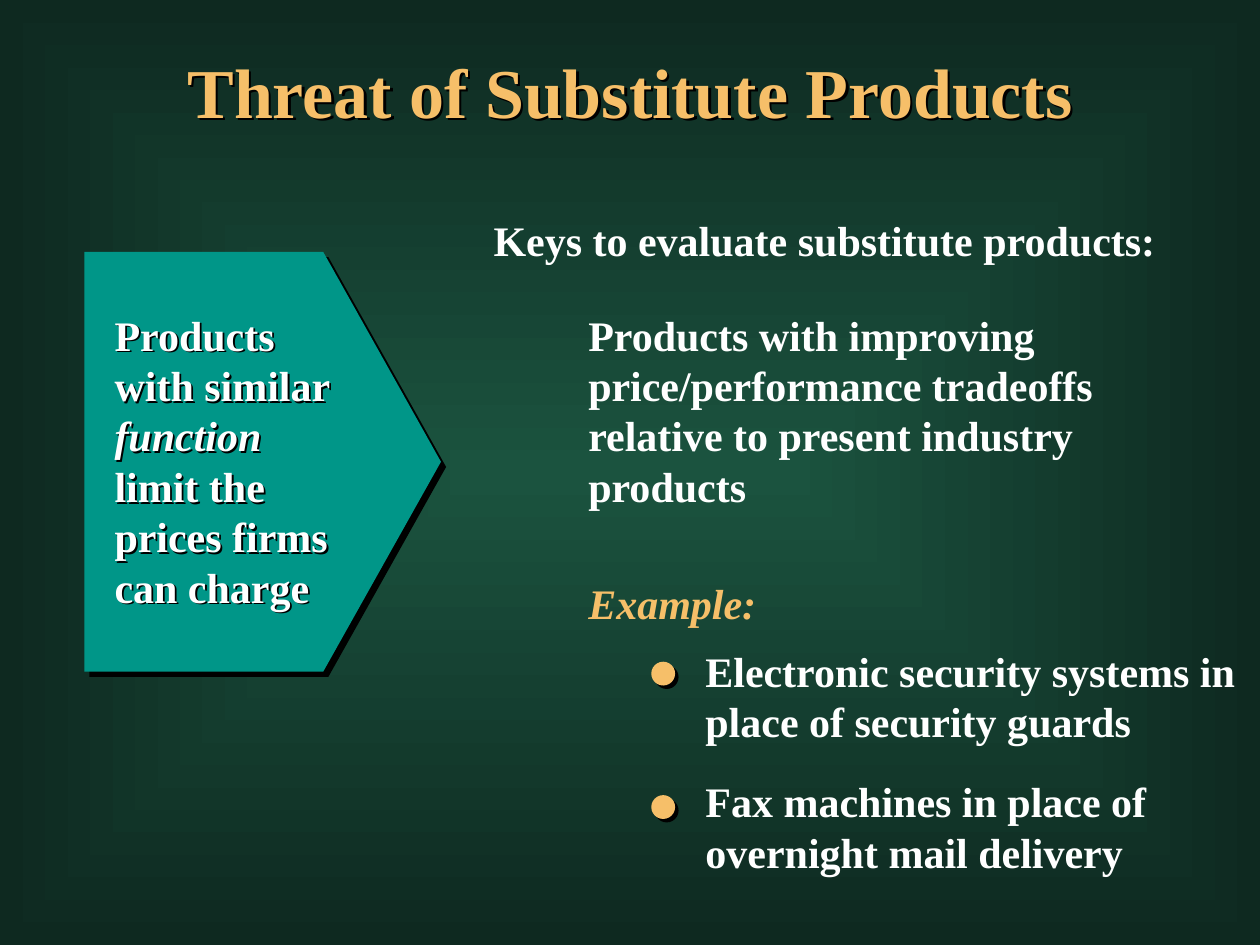
"""Build a slide on the threat of substitute products."""
from dataclasses import dataclass

from lxml import etree
from pptx import Presentation
from pptx.dml.color import RGBColor
from pptx.enum.shapes import MSO_SHAPE
from pptx.enum.text import MSO_ANCHOR, MSO_AUTO_SIZE, PP_ALIGN
from pptx.oxml import parse_xml
from pptx.oxml.ns import nsdecls, qn
from pptx.shapes.autoshape import Shape
from pptx.slide import Slide
from pptx.util import Cm, Pt

PENTAGON = MSO_SHAPE.PENTAGON
OVAL = MSO_SHAPE.OVAL
TOP = MSO_ANCHOR.TOP
NO_AUTO_SIZE = MSO_AUTO_SIZE.NONE
LEFT = PP_ALIGN.LEFT
CENTER = PP_ALIGN.CENTER


@dataclass(frozen=True)
class Theme:
    """Colours, font and type sizes of the slide."""
    center: RGBColor = RGBColor(0x1B, 0x53, 0x3F)
    edge: RGBColor = RGBColor(0x0E, 0x29, 0x20)
    gold: RGBColor = RGBColor(0xF6, 0xBF, 0x69)
    teal: RGBColor = RGBColor(0x00, 0x96, 0x88)
    white: RGBColor = RGBColor(0xFF, 0xFF, 0xFF)
    shadow: str = "000000"
    font: str = "Times New Roman"
    title_size: int = 40
    text_size: int = 24
    line_height: float = 1.2


@dataclass(frozen=True)
class Box:
    """A position and size in centimetres."""
    left: float
    top: float
    width: float
    height: float

    def lengths(self) -> tuple[Cm, Cm, Cm, Cm]:
        """Return the box as lengths."""
        return Cm(self.left), Cm(self.top), Cm(self.width), Cm(self.height)


@dataclass(frozen=True)
class Label:
    """A text box with its wording and format."""
    box: Box
    text: str
    color: RGBColor
    italic: bool = False
    wrap: bool = True


THEME = Theme()
TITLE_BOX = Box(0, 0.84, 25.4, 1.93)
ARROW_BOX = Box(1.7, 5.08, 7.19, 8.46)
ARROW_TEXT_BOX = Box(2.06, 6.1, 5.36, 6.32)
EXAMPLES_BOX = Box(13.97, 12.88, 12.6, 4.9)
FIRST_DOT = Box(13.13, 13.34, 0.48, 0.48)
DOT_STEP = 2.69
EXAMPLE_GAP = 17
LABELS = (
    Label(Box(9.7, 4.19, 13.87, 1.27), "Keys to evaluate substitute products:",
          THEME.white, wrap=False),
    Label(Box(11.61, 6.1, 12.09, 4.29),
          "Products with improving price/performance tradeoffs "
          "relative to present industry products", THEME.white),
    Label(Box(11.61, 11.51, 12.34, 1.27), "Example:", THEME.gold, italic=True),
)
EXAMPLES = (
    "Electronic security systems in place of security guards",
    "Fax machines in place of overnight mail delivery",
)


def paint_background(slide: Slide) -> None:
    """Fill the background with a gradient from the centre outwards."""
    fill = slide.background.fill
    fill.gradient()
    for stop, color in zip(fill.gradient_stops, (THEME.center, THEME.edge)):
        stop.color.rgb = color
    linear = next(slide.element.iter(qn("a:lin")))
    linear.getparent().replace(linear, parse_xml(
        f'<a:path {nsdecls("a")} path="shape">'
        '<a:fillToRect l="50000" t="50000" r="50000" b="50000"/></a:path>'))


def add_shadow(shape: Shape, distance: float) -> None:
    """Give a shape a hard shadow to the lower right."""
    shape.shadow.inherit = False
    effects = next(shape.element.iter(qn("a:effectLst")))
    effects.append(parse_xml(
        f'<a:outerShdw {nsdecls("a")} dist="{Pt(distance)}" dir="2700000" algn="ctr" '
        f'rotWithShape="0"><a:srgbClr val="{THEME.shadow}"/></a:outerShdw>'))


def place(shape: Shape, box: Box) -> None:
    """Move and size a shape."""
    shape.left, shape.top, shape.width, shape.height = box.lengths()


def write(shape: Shape, *paragraphs: str, color: RGBColor = THEME.white,
          size: int = THEME.text_size, align: PP_ALIGN = LEFT, italic: bool = False,
          italic_word: str = "", wrap: bool = True, gap: float = 0) -> None:
    """Write formatted paragraphs into a shape, one word optionally in italics."""
    frame = shape.text_frame
    frame.word_wrap = wrap
    frame.auto_size = NO_AUTO_SIZE
    frame.vertical_anchor = TOP
    frame.margin_left = frame.margin_right = Cm(0.25)
    frame.margin_top = frame.margin_bottom = Cm(0.13)
    for index, text in enumerate(paragraphs):
        paragraph = frame.add_paragraph() if index else frame.paragraphs[0]
        paragraph.alignment = align
        paragraph.line_spacing = Pt(size * THEME.line_height)
        paragraph.space_before = Pt(gap if index else 0)
        paragraph.space_after = Pt(0)
        before, word, after = text.partition(italic_word) if italic_word else (text, "", "")
        for part, slanted in ((before, italic), (word, True), (after, italic)):
            if part:
                run = paragraph.add_run()
                run.text = part
                run.font.name = THEME.font
                run.font.size = Pt(size)
                run.font.bold = True
                run.font.italic = slanted
                run.font.color.rgb = color


def remove_bullets(shape: Shape) -> None:
    """Clear the inherited bullets and indents."""
    for properties in shape.element.iter(qn("a:pPr")):
        properties.set("marL", "0")
        properties.set("indent", "0")
        etree.SubElement(properties, qn("a:buNone"))


def add_figure(slide: Slide, kind: MSO_SHAPE, box: Box, color: RGBColor,
               shadow: float) -> Shape:
    """Add a filled shape without outline that casts a shadow."""
    shape = slide.shapes.add_shape(kind, *box.lengths())
    shape.fill.solid()
    shape.fill.fore_color.rgb = color
    shape.line.fill.background()
    add_shadow(shape, shadow)
    return shape


def main() -> None:
    """Build and save the presentation."""
    presentation = Presentation()
    presentation.slide_width, presentation.slide_height = Cm(25.4), Cm(19.05)
    slide = presentation.slides.add_slide(presentation.slide_layouts[1])
    paint_background(slide)

    title, examples = slide.placeholders
    place(title, TITLE_BOX)
    title.fill.background()
    write(title, "Threat of Substitute Products", color=THEME.gold,
          size=THEME.title_size, align=CENTER)
    add_shadow(title, 2)

    arrow = add_figure(slide, PENTAGON, ARROW_BOX, THEME.teal, 4.2)
    arrow.adjustments[0] = 0.33
    arrow_text = slide.shapes.add_textbox(*ARROW_TEXT_BOX.lengths())
    write(arrow_text, "Products with similar function limit the prices firms can charge",
          italic_word="function ")
    arrow_text.fill.background()
    add_shadow(arrow_text, 1.5)

    for label in LABELS:
        text_box = slide.shapes.add_textbox(*label.box.lengths())
        write(text_box, label.text, color=label.color, italic=label.italic, wrap=label.wrap)

    place(examples, EXAMPLES_BOX)
    write(examples, *EXAMPLES, gap=EXAMPLE_GAP)
    remove_bullets(examples)
    for index in range(len(EXAMPLES)):
        dot = Box(FIRST_DOT.left, FIRST_DOT.top + index * DOT_STEP,
                  FIRST_DOT.width, FIRST_DOT.height)
        add_figure(slide, OVAL, dot, THEME.gold, 2.8)

    presentation.save("out.pptx")


if __name__ == "__main__":
    main()
